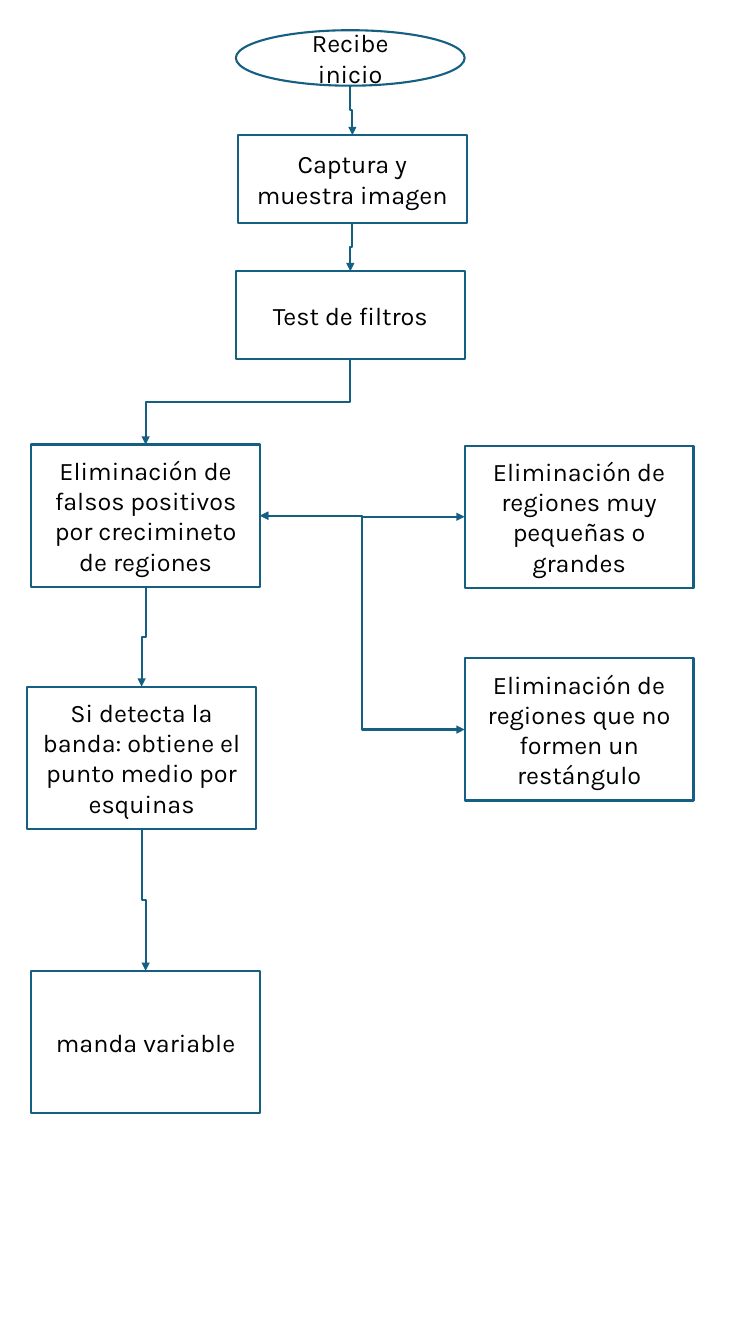
"""Builds the flowchart of the band detection process on one portrait slide."""
from dataclasses import dataclass

import pptx
import pptx.dml.color
import pptx.enum.shapes
import pptx.enum.text
import pptx.oxml.ns
import pptx.shapes.autoshape
import pptx.shapes.connector
import pptx.slide
import pptx.util
from lxml import etree

BLUE = pptx.dml.color.RGBColor(0x15, 0x60, 0x82)
WHITE = pptx.dml.color.RGBColor(0xFF, 0xFF, 0xFF)
BLACK = pptx.dml.color.RGBColor(0x00, 0x00, 0x00)
FONT_NAME = "Karla"
FONT_SIZE = pptx.util.Pt(18)
LINE_WIDTH = pptx.util.Pt(1.5)

SLIDE_WIDTH = pptx.util.Inches(7.5)
SLIDE_HEIGHT = pptx.util.Inches(13.33)
COLUMN = SLIDE_WIDTH / 100
ROW = SLIDE_HEIGHT / 100

LEFT, MIDDLE, RIGHT = 4.13, 31.2, 61.47
STEP_WIDTH = 30.27
OVAL_ROWS, SHORT_ROWS, TALL_ROWS = 4.13, 6.53, 10.58

RECTANGLE = pptx.enum.shapes.MSO_SHAPE.RECTANGLE
OVAL = pptx.enum.shapes.MSO_SHAPE.OVAL
RECTANGLE_SITES = {"top": 0, "left": 1, "bottom": 2, "right": 3}
OVAL_BOTTOM_SITE = 4
QUARTER_TURN = "5400000"


@dataclass(frozen=True)
class Step:
    """A box of the flowchart, placed in columns and rows of the slide."""

    name: str
    text: str
    column: float
    row: float
    rows: float
    outline: pptx.enum.shapes.MSO_SHAPE = RECTANGLE


@dataclass(frozen=True)
class Link:
    """An elbow arrow between two steps, downwards or sideways."""

    source: str
    target: str
    sideways: bool = False


STEPS = [
    Step("start", "Recibe inicio", MIDDLE, 2.25, OVAL_ROWS, OVAL),
    Step("capture", "Captura y muestra imagen", 31.47, 10.05, SHORT_ROWS),
    Step("filters", "Test de filtros", MIDDLE, 20.18, SHORT_ROWS),
    Step("growth", "Eliminación de falsos positivos por crecimineto de regiones",
         LEFT, 33.08, TALL_ROWS),
    Step("sizes", "Eliminación de regiones muy pequeñas o grandes",
         RIGHT, 33.16, TALL_ROWS),
    Step("rectangles", "Eliminación de regiones que no formen un restángulo",
         RIGHT, 48.99, TALL_ROWS),
    Step("midpoint", "Si detecta la banda: obtiene el punto medio por esquinas",
         3.6, 51.09, TALL_ROWS),
    Step("send", "manda variable", LEFT, 72.24, TALL_ROWS),
]

LINKS = [
    Link("start", "capture"),
    Link("capture", "filters"),
    Link("filters", "growth"),
    Link("growth", "sizes", sideways=True),
    Link("growth", "rectangles", sideways=True),
    Link("growth", "midpoint"),
    Link("midpoint", "send"),
]


def draw_step(page: pptx.slide.Slide, step: Step) -> pptx.shapes.autoshape.Shape:
    """Draw one step with its centred text."""
    box = page.shapes.add_shape(
        step.outline, round(step.column * COLUMN), round(step.row * ROW),
        round(STEP_WIDTH * COLUMN), round(step.rows * ROW))
    box.shadow.inherit = False
    box.fill.solid()
    box.fill.fore_color.rgb = WHITE
    box.line.color.rgb = BLUE
    box.line.width = LINE_WIDTH
    frame = box.text_frame
    frame.text = step.text
    frame.word_wrap = True
    frame.vertical_anchor = pptx.enum.text.MSO_ANCHOR.MIDDLE
    para = frame.paragraphs[0]
    para.alignment = pptx.enum.text.PP_ALIGN.CENTER
    for span in para.runs:
        span.font.name = FONT_NAME
        span.font.size = FONT_SIZE
        span.font.color.rgb = BLACK
    return box


def style_arrow(arrow: pptx.shapes.connector.Connector, both_ends: bool) -> None:
    """Give an arrow its line, its triangular heads and no shadow."""
    arrow.line.color.rgb = BLUE
    arrow.line.width = LINE_WIDTH
    line = arrow.line._get_or_add_ln()
    for end in ("a:headEnd", "a:tailEnd") if both_ends else ("a:tailEnd",):
        etree.SubElement(line, pptx.oxml.ns.qn(end), type="triangle")
    etree.SubElement(arrow._element.spPr, pptx.oxml.ns.qn("a:effectLst"))


def turn_downwards(arrow: pptx.shapes.connector.Connector) -> None:
    """Rotate an elbow a quarter turn so that it leaves and arrives vertically."""
    across = arrow.end_x - arrow.begin_x
    down = arrow.end_y - arrow.begin_y
    centre_x = (arrow.begin_x + arrow.end_x) // 2
    centre_y = (arrow.begin_y + arrow.end_y) // 2
    arrow.begin_x, arrow.end_x = centre_x - down // 2, centre_x + down // 2
    arrow.begin_y, arrow.end_y = centre_y + across // 2, centre_y - across // 2
    arrow._element.spPr.xfrm.set("rot", QUARTER_TURN)


def draw_link(page: pptx.slide.Slide, link: Link,
              boxes: dict[str, pptx.shapes.autoshape.Shape]) -> None:
    """Connect two steps with an elbow arrow."""
    source, target = boxes[link.source], boxes[link.target]
    leaving, arriving = ("right", "left") if link.sideways else ("bottom", "top")
    arrow = page.shapes.add_connector(
        pptx.enum.shapes.MSO_CONNECTOR.ELBOW, 0, 0, 0, 0)
    arrow.begin_connect(source, RECTANGLE_SITES[leaving])
    arrow.end_connect(target, RECTANGLE_SITES[arriving])
    if source.auto_shape_type == OVAL:
        arrow._element.nvCxnSpPr.cNvCxnSpPr.stCxn.set("idx", str(OVAL_BOTTOM_SITE))
    if not link.sideways:
        turn_downwards(arrow)
    style_arrow(arrow, both_ends=link.sideways)


def main() -> None:
    """Build the deck and save it."""
    deck = pptx.Presentation()
    deck.slide_width, deck.slide_height = SLIDE_WIDTH, SLIDE_HEIGHT
    page = deck.slides.add_slide(deck.slide_layouts.get_by_name("Blank"))
    boxes = {step.name: draw_step(page, step) for step in STEPS}
    for link in LINKS:
        draw_link(page, link, boxes)
    deck.save("out.pptx")


if __name__ == "__main__":
    main()
